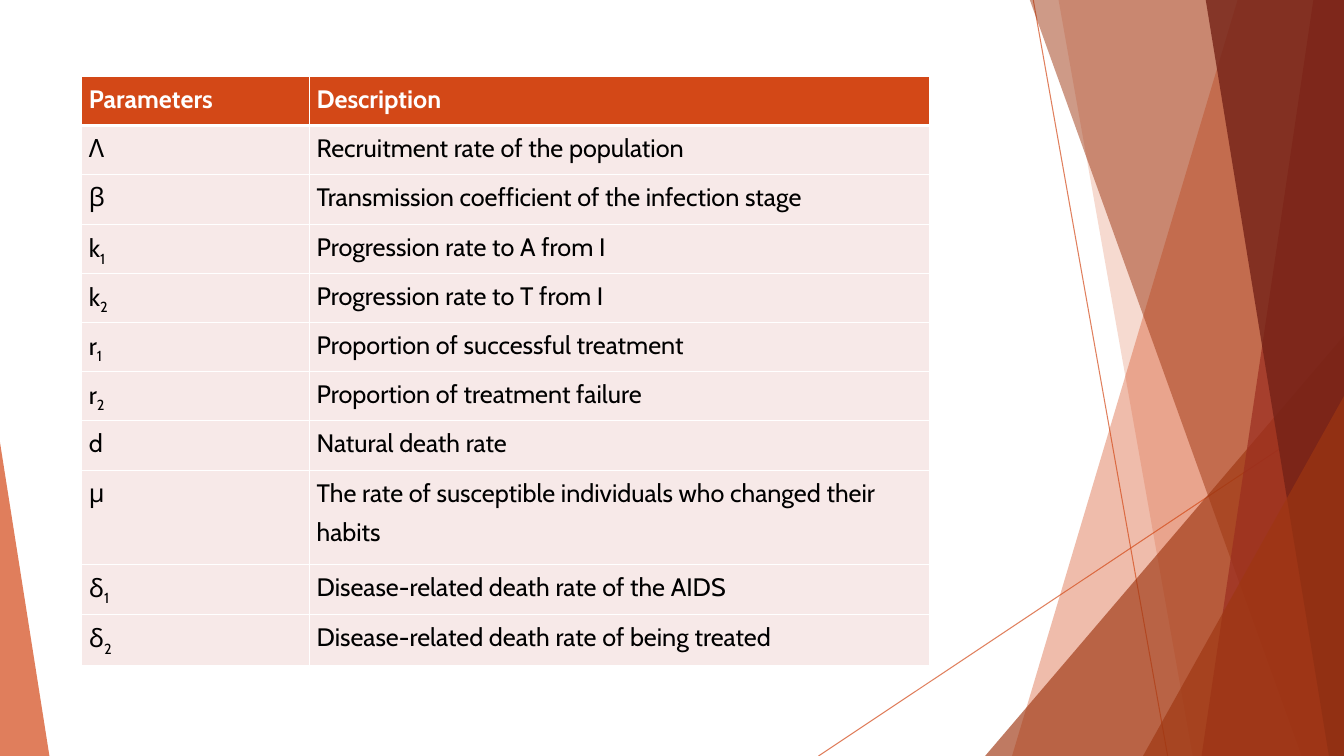
import dataclasses
import typing

import pptx
import pptx.dml.color
import pptx.enum.shapes
import pptx.oxml
import pptx.oxml.ns
import pptx.util

RGB = pptx.dml.color.RGBColor
ORANGE = RGB(0xD3, 0x48, 0x17)
RUST = RGB(0x9E, 0x36, 0x11)
BRICK = RGB(0x9B, 0x2D, 0x1F)
MAROON = RGB(0x74, 0x22, 0x17)
BLUSH = RGB(0xF7, 0xE9, 0xE8)
WHITE = RGB(0xFF, 0xFF, 0xFF)
BLACK = RGB(0, 0, 0)

WIDTH = pptx.util.Inches(13.33)
HEIGHT = pptx.util.Inches(7.5)
TOP = -0.13
FONT = "Cabin"
SIZE = 18
LEADING = 1.25
INSET = 0.53
COLS = (16.95, 46.14)
LOW, MID, TALL = 6.47, 6.67, 12.4


@dataclasses.dataclass
class Ray:
    start: tuple[float, float]
    end: tuple[float, float]


@dataclasses.dataclass
class Pane:
    top: float
    foot: float
    color: RGB
    alpha: int


@dataclasses.dataclass
class Wedge:
    left: float
    top: float
    width: float
    apex: float
    color: RGB
    alpha: int


@dataclasses.dataclass
class Entry:
    symbol: str
    index: str
    text: str
    height: float


DECOR = (
    Ray((76.88, 0), (86.88, 100)),
    Ray((100, 53.7), (60.9, 100)),
    Pane(92.1, 75.3, ORANGE, 36),
    Pane(78.75, 88.75, ORANGE, 20),
    Wedge(73.3, 44.4, 26.7, 1, RUST, 66),
    Pane(76.6, 96.85, RUST, 50),
    Pane(97.73, 89.4, BRICK, 70),
    Pane(89.7, 98.88, MAROON, 80),
    Wedge(85.05, 52.4, 14.95, 1, RUST, 66),
    Wedge(0, 58.5, 3.68, 0, ORANGE, 70),
)

ENTRIES = (
    Entry("Parameters", "", "Description", LOW),
    Entry("Λ", "", "Recruitment rate of the population", LOW),
    Entry("β", "", "Transmission coefficient of the infection stage", MID),
    Entry("k", "1", "Progression rate to A from I", LOW),
    Entry("k", "2", "Progression rate to T from I", LOW),
    Entry("r", "1", "Proportion of successful treatment", LOW),
    Entry("r", "2", "Proportion of treatment failure", LOW),
    Entry("d", "", "Natural death rate", MID),
    Entry("μ", "", "The rate of susceptible individuals who changed their habits", TALL),
    Entry("δ", "1", "Disease-related death rate of the AIDS", MID),
    Entry("δ", "2", "Disease-related death rate of being treated", MID),
)


def across(share: float) -> int:
    return round(WIDTH * share / 100)


def down(share: float) -> int:
    return round(HEIGHT * share / 100)


def add_node(parent: typing.Any, tag: str, **attrs: str) -> typing.Any:
    node = pptx.oxml.ns.qn(tag)
    child = parent.makeelement(node, attrs)
    parent.append(child)
    return child


def fade(shape: typing.Any, alpha: int) -> None:
    for color in shape._element.iter(pptx.oxml.ns.qn("a:srgbClr")):
        add_node(color, "a:alpha", val=str(alpha * 1000))


def paint(shape: typing.Any, color: RGB, alpha: int) -> None:
    shape.shadow.inherit = False
    shape.fill.solid()
    shape.fill.fore_color.rgb = color
    shape.line.fill.background()
    fade(shape, alpha)


def draw_ray(shapes: typing.Any, ray: Ray) -> None:
    line = shapes.add_connector(
        pptx.enum.shapes.MSO_CONNECTOR.STRAIGHT,
        across(ray.start[0]), down(ray.start[1]),
        across(ray.end[0]), down(ray.end[1]),
    )
    line.line.color.rgb = ORANGE
    line.line.width = pptx.util.Pt(0.75)
    fade(line, 70)
    add_node(line._element.spPr, "a:effectLst")


def draw_pane(shapes: typing.Any, pane: Pane) -> None:
    form = shapes.build_freeform(across(pane.top), down(TOP))
    corners = ((100, TOP), (100, 100), (pane.foot, 100))
    form.add_line_segments([(across(x), down(y)) for x, y in corners], close=True)
    paint(form.convert_to_shape(), pane.color, pane.alpha)


def draw_wedge(shapes: typing.Any, wedge: Wedge) -> None:
    shape = shapes.add_shape(
        pptx.enum.shapes.MSO_SHAPE.ISOSCELES_TRIANGLE,
        across(wedge.left), down(wedge.top),
        across(wedge.width), down(100 - wedge.top),
    )
    shape.adjustments[0] = wedge.apex
    paint(shape, wedge.color, wedge.alpha)


def add_edges(cell: typing.Any, row: int) -> None:
    props = cell._tc.get_or_add_tcPr()
    for side in ("lnL", "lnR", "lnT", "lnB"):
        heavy = (row, side) in ((0, "lnB"), (1, "lnT"))
        width = pptx.util.Pt(3 if heavy else 1)
        edge = add_node(props, f"a:{side}", w=str(width))
        fill = add_node(edge, "a:solidFill")
        add_node(fill, "a:srgbClr", val=str(WHITE))


def add_run(para: typing.Any, text: str, head: bool, sub: bool) -> None:
    run = para.add_run()
    run.text = text
    run.font.name = FONT
    run.font.size = pptx.util.Pt(SIZE)
    run.font.bold = head
    run.font.color.rgb = WHITE if head else BLACK
    if sub:
        run._r.get_or_add_rPr().set("baseline", "-25000")


def fill_cell(cell: typing.Any, row: int, text: str, index: str) -> None:
    head = row == 0
    add_edges(cell, row)
    cell.fill.solid()
    cell.fill.fore_color.rgb = ORANGE if head else BLUSH
    cell.margin_left = cell.margin_right = across(INSET)
    cell.margin_top = cell.margin_bottom = 0
    para = cell.text_frame.paragraphs[0]
    para.line_spacing = LEADING
    add_run(para, text, head, False)
    if index:
        add_run(para, index, head, True)


def draw_table(shapes: typing.Any) -> None:
    total = sum(entry.height for entry in ENTRIES)
    table = shapes.add_table(
        len(ENTRIES), len(COLS), across(6.08), down(10.13),
        across(sum(COLS)), down(total),
    ).table
    for col, width in zip(table.columns, COLS):
        col.width = across(width)
    for row, entry in enumerate(ENTRIES):
        table.rows[row].height = down(entry.height)
        fill_cell(table.cell(row, 0), row, entry.symbol, entry.index)
        fill_cell(table.cell(row, 1), row, entry.text, "")


def main() -> None:
    deck = pptx.Presentation()
    deck.slide_width, deck.slide_height = WIDTH, HEIGHT
    shapes = deck.slides.add_slide(deck.slide_layouts[6]).shapes
    draw = {Ray: draw_ray, Pane: draw_pane, Wedge: draw_wedge}
    for item in DECOR:
        draw[type(item)](shapes, item)
    draw_table(shapes)
    deck.save("out.pptx")


if __name__ == "__main__":
    main()
